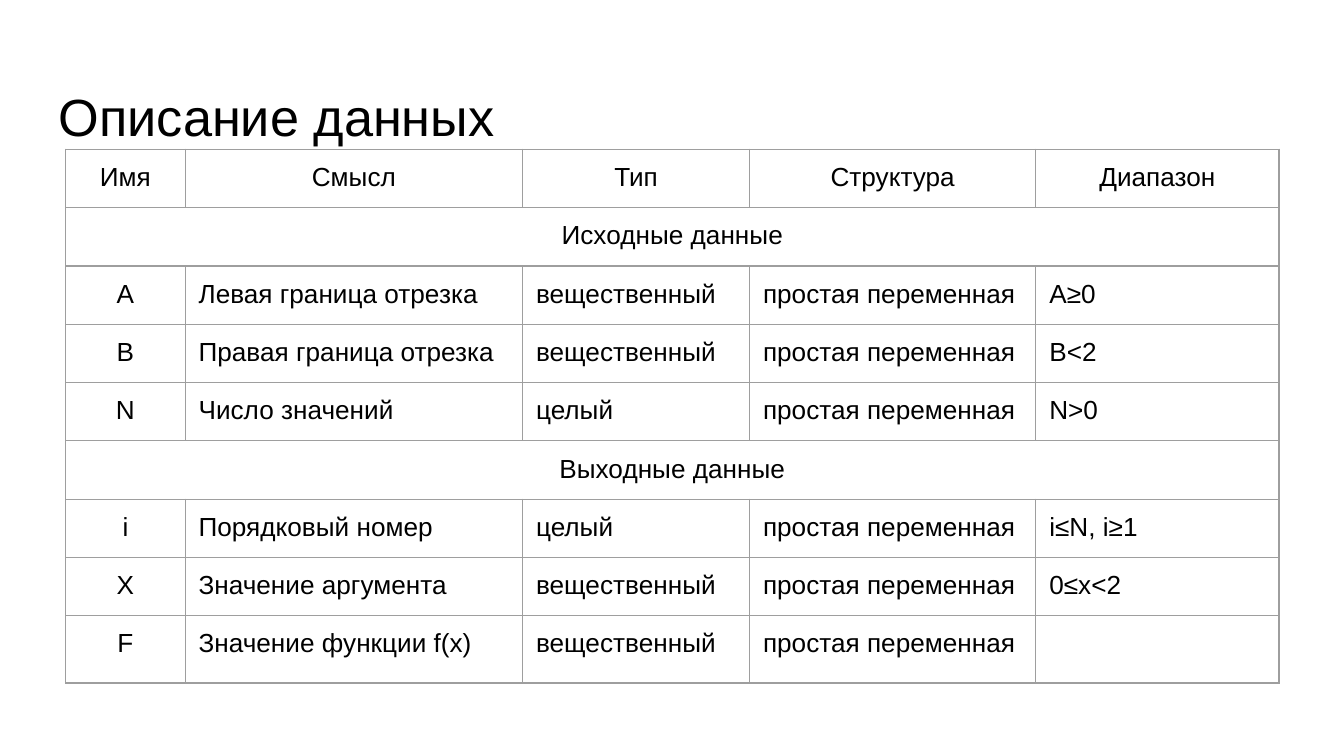
from lxml import etree
from pptx import Presentation
from pptx.dml.color import RGBColor
from pptx.enum.text import MSO_ANCHOR, PP_ALIGN
from pptx.oxml.ns import qn
from pptx.util import Pt

CENTER, LEFT = PP_ALIGN.CENTER, PP_ALIGN.LEFT
TOP = MSO_ANCHOR.TOP

HEADING = "Описание данных"
COLUMNS = ["Имя", "Смысл", "Тип", "Структура", "Диапазон"]
REAL, WHOLE, SIMPLE = "вещественный", "целый", "простая переменная"
SECTIONS = {
    "Исходные данные": [
        ("A", "Левая граница отрезка", REAL, SIMPLE, "A≥0"),
        ("B", "Правая граница отрезка", REAL, SIMPLE, "B<2"),
        ("N", "Число значений", WHOLE, SIMPLE, "N>0"),
    ],
    "Выходные данные": [
        ("i", "Порядковый номер", WHOLE, SIMPLE, "i≤N, i≥1"),
        ("X", "Значение аргумента", REAL, SIMPLE, "0≤x<2"),
        ("F", "Значение функции f(x)", REAL, SIMPLE, ""),
    ],
}

THEME = {
    "font": "Arial",
    "text": RGBColor(0, 0, 0),
    "border": "9E9E9E",
    "border_width": Pt(0.75),
    "heading_size": Pt(28),
    "cell_size": Pt(14),
}
INSET = Pt(7.2)
HEADING_FORMAT = {"word_wrap": True, "vertical_anchor": TOP, "margin_left": INSET,
                  "margin_right": INSET, "margin_top": Pt(10), "margin_bottom": INSET}
CELL_FORMAT = {"vertical_anchor": TOP, "margin_left": INSET, "margin_right": INSET,
               "margin_top": INSET, "margin_bottom": INSET}
COLUMN_WIDTHS = [64, 180.8, 121.6, 153.4, 130.2]
ROW_HEIGHT, LAST_ROW_HEIGHT = 31.1, 34.8


def apply_format(target, values):
    for name, value in values.items():
        setattr(target, name, value)


def write(text_frame, words, size, alignment):
    paragraph = text_frame.paragraphs[0]
    paragraph.alignment = alignment
    run = paragraph.add_run()
    run.text = words
    apply_format(run.font, {"name": THEME["font"], "size": size, "bold": False})
    run.font.color.rgb = THEME["text"]


def draw_borders(cell):
    properties = cell._tc.get_or_add_tcPr()
    for side in ("a:lnL", "a:lnR", "a:lnT", "a:lnB"):
        line = etree.SubElement(properties, qn(side), w=str(THEME["border_width"]))
        fill = etree.SubElement(line, qn("a:solidFill"))
        etree.SubElement(fill, qn("a:srgbClr"), val=THEME["border"])


def add_heading(slide):
    heading = slide.shapes.add_textbox(Pt(35 - 10.5), Pt(35.3), Pt(671), Pt(45.4))
    apply_format(heading.text_frame, HEADING_FORMAT)
    write(heading.text_frame, HEADING, THEME["heading_size"], LEFT)


def add_data_table(slide):
    rows = [COLUMNS]
    for section, variables in SECTIONS.items():
        rows += [(section,), *variables]
    heights = [ROW_HEIGHT] * (len(rows) - 1) + [LAST_ROW_HEIGHT]

    table = slide.shapes.add_table(
        len(rows), len(COLUMNS), Pt(35.2), Pt(80),
        Pt(sum(COLUMN_WIDTHS)), Pt(sum(heights))).table
    apply_format(table, {"first_row": False, "horz_banding": False})
    for column, width in zip(table.columns, COLUMN_WIDTHS):
        column.width = Pt(width)
    for row, height in zip(table.rows, heights):
        row.height = Pt(height)

    for cell in table.iter_cells():
        apply_format(cell, CELL_FORMAT)
        draw_borders(cell)
        cell.fill.background()

    for r, entries in enumerate(rows):
        if len(entries) == 1:
            table.cell(r, 0).merge(table.cell(r, len(COLUMNS) - 1))
        for c, words in enumerate(entries):
            if words:
                alignment = CENTER if r == 0 or c == 0 else LEFT
                write(table.cell(r, c).text_frame, words, THEME["cell_size"], alignment)


def main():
    presentation = Presentation()
    apply_format(presentation, {"slide_width": Pt(720), "slide_height": Pt(405)})
    slide = presentation.slides.add_slide(presentation.slide_layouts[6])
    add_heading(slide)
    add_data_table(slide)
    presentation.save("out.pptx")


if __name__ == "__main__":
    main()
